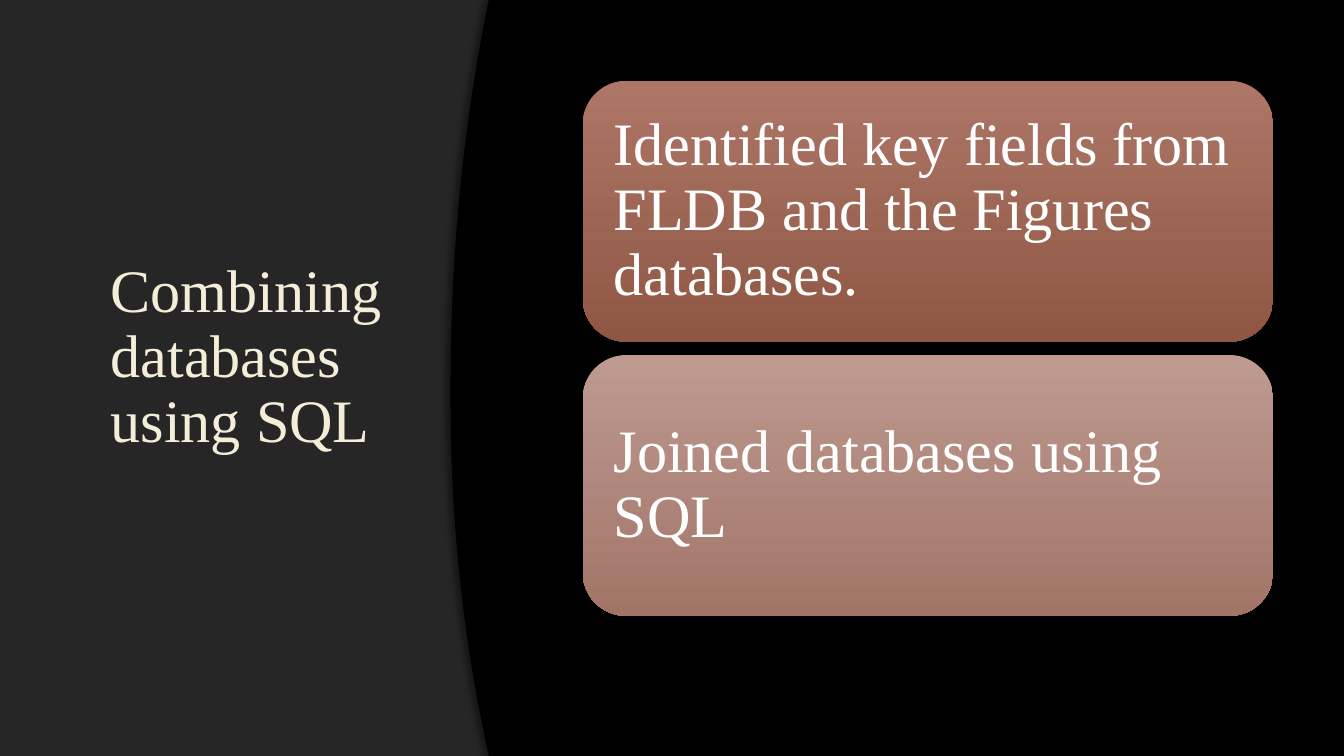
from dataclasses import dataclass

from lxml import etree
from pptx import Presentation
from pptx.dml.color import RGBColor
from pptx.enum import shapes, text
from pptx.oxml import ns
from pptx.util import Pt

WIDE, HIGH = 960, 540
FONT, SIZE = "Times New Roman", 43
COLORS = {
    "black": "000000",
    "panel": "262626",
    "cream": "F4EDD8",
    "white": "FFFFFF",
    "rust": "AE7666",
    "brown": "8E5643",
    "rose": "BE9A90",
    "clay": "A27468",
}


@dataclass
class Card:
    words: str
    upper: str
    lower: str


@dataclass
class Shade:
    alpha: int
    blur: float
    dist: float
    angle: int


CARDS = [
    Card("Identified key fields from FLDB and the Figures databases.", "rust", "brown"),
    Card("Joined databases using SQL", "rose", "clay"),
]
LEFT, TOP, CARD_W, CARD_H, PITCH = 416.2, 57.7, 493.2, 186.4, 195.9
INSET = 13
CURVE_X, CURVE_Y, DEPTH, BEND, STEPS = 321.8, 280.8, 27.4, 2.1, 40


def tint(name: str) -> RGBColor:
    return RGBColor.from_string(COLORS[name])


def shadow(props, shade: Shade) -> None:
    """Put a black outer shadow in the effect list of props."""
    node = etree.SubElement(
        props.find(ns.qn("a:effectLst")), ns.qn("a:outerShdw"),
        blurRad=str(Pt(shade.blur)), dist=str(Pt(shade.dist)),
        dir=str(shade.angle * 60000), algn="ctr", rotWithShape="0")
    color = etree.SubElement(node, ns.qn("a:srgbClr"), val=COLORS["black"])
    etree.SubElement(color, ns.qn("a:alpha"), val=str(shade.alpha * 1000))


def paint(shape, color: str) -> None:
    shape.shadow.inherit = False
    shape.fill.solid()
    shape.fill.fore_color.rgb = tint(color)
    shape.line.fill.background()


def write(shape, words: str, color: str):
    """Fill the shape with one left-aligned, centred-height paragraph."""
    frame = shape.text_frame
    frame.word_wrap = True
    frame.vertical_anchor = text.MSO_ANCHOR.MIDDLE
    para = frame.paragraphs[0]
    para.alignment = text.PP_ALIGN.LEFT
    para.line_spacing = 0.9
    para.font.name, para.font.size = FONT, Pt(SIZE)
    para.font.color.rgb = tint(color)
    run = para.add_run()
    run.text = words
    return run


def edge(y: float) -> float:
    """Left edge of the black area at height y."""
    reach = CURVE_Y if y < CURVE_Y else HIGH - CURVE_Y
    return CURVE_X + DEPTH * (abs(y - CURVE_Y) / reach) ** BEND


def add_panel(slide) -> None:
    panel = slide.shapes.add_shape(
        shapes.MSO_SHAPE.RECTANGLE, 0, 0, Pt(WIDE), Pt(HIGH))
    paint(panel, "panel")


def add_title(slide) -> None:
    box = slide.shapes.add_textbox(Pt(72), Pt(48.2), Pt(220.3), Pt(415.4))
    run = write(box, "Combining databases using SQL", "cream")
    props = run.font._element if hasattr(run.font, "_element") else run._r.get_or_add_rPr()
    etree.SubElement(props, ns.qn("a:effectLst"))
    shadow(props, Shade(40, 3, 2, 45))


def add_curve(slide) -> None:
    rows = [HIGH * i / STEPS for i in range(STEPS, -1, -1)]
    points = [(WIDE, HIGH)] + [(edge(y), y) for y in rows]
    pen = slide.shapes.build_freeform(Pt(WIDE), 0)
    pen.add_line_segments([(Pt(x), Pt(y)) for x, y in points], close=True)
    area = pen.convert_to_shape()
    paint(area, "black")
    shadow(area._element.spPr, Shade(40, 4, 3, 180))


def add_card(slide, card: Card, top: float) -> None:
    box = slide.shapes.add_shape(
        shapes.MSO_SHAPE.ROUNDED_RECTANGLE,
        Pt(LEFT), Pt(top), Pt(CARD_W), Pt(CARD_H))
    paint(box, card.upper)
    box.fill.gradient()
    box.fill.gradient_angle = 270
    for stop, color in zip(box.fill.gradient_stops, (card.upper, card.lower)):
        stop.color.rgb = tint(color)
    shadow(box._element.spPr, Shade(60, 5, 2, 90))
    frame = box.text_frame
    frame.margin_left = frame.margin_right = Pt(INSET)
    frame.margin_top = frame.margin_bottom = Pt(INSET)
    write(box, card.words, "white")


def main() -> None:
    deck = Presentation()
    deck.slide_width, deck.slide_height = Pt(WIDE), Pt(HIGH)
    slide = deck.slides.add_slide(deck.slide_layouts[6])
    slide.background.fill.solid()
    slide.background.fill.fore_color.rgb = tint("black")
    add_panel(slide)
    add_title(slide)
    add_curve(slide)
    for i, card in enumerate(CARDS):
        add_card(slide, card, TOP + i * PITCH)
    deck.save("out.pptx")


if __name__ == "__main__":
    main()
